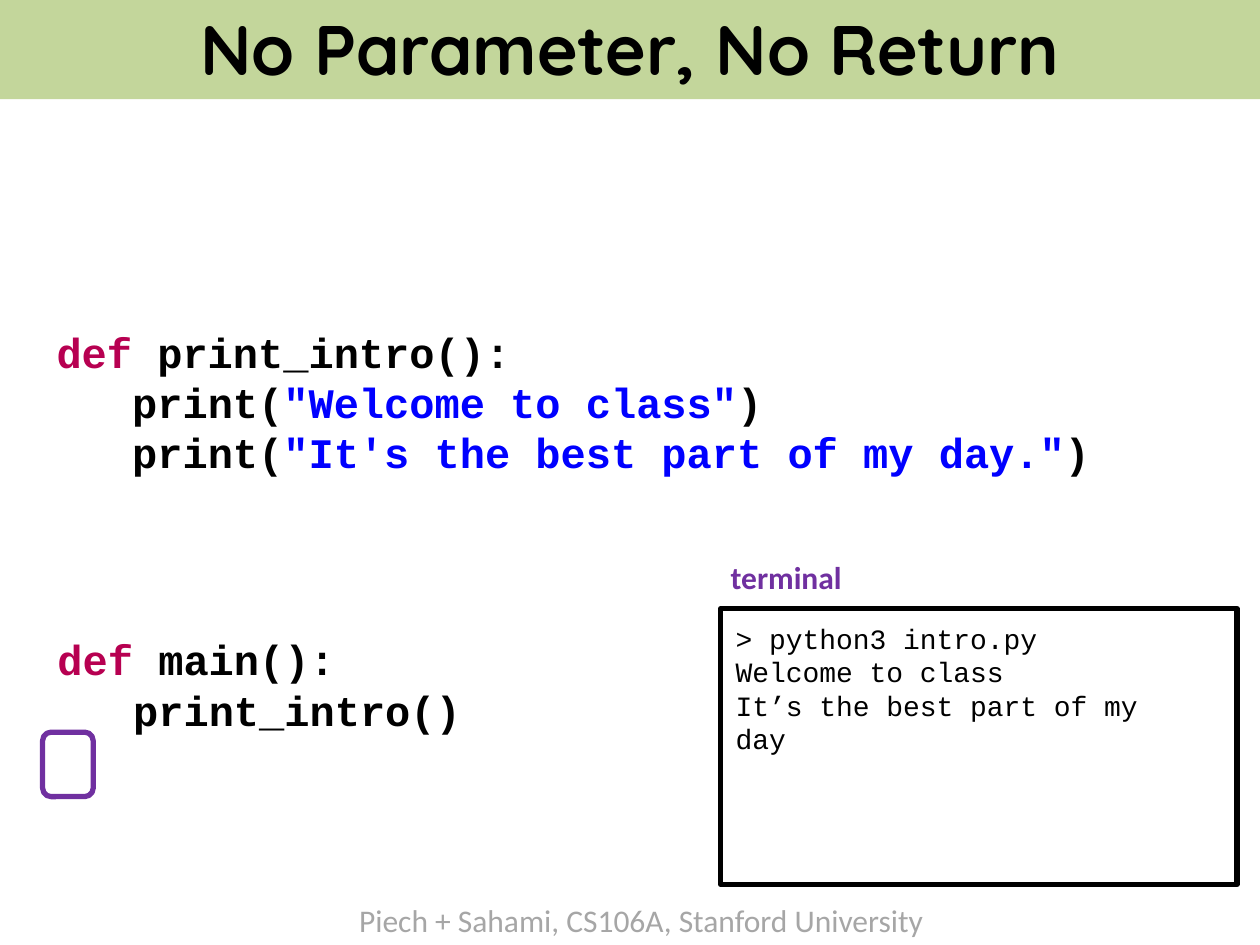
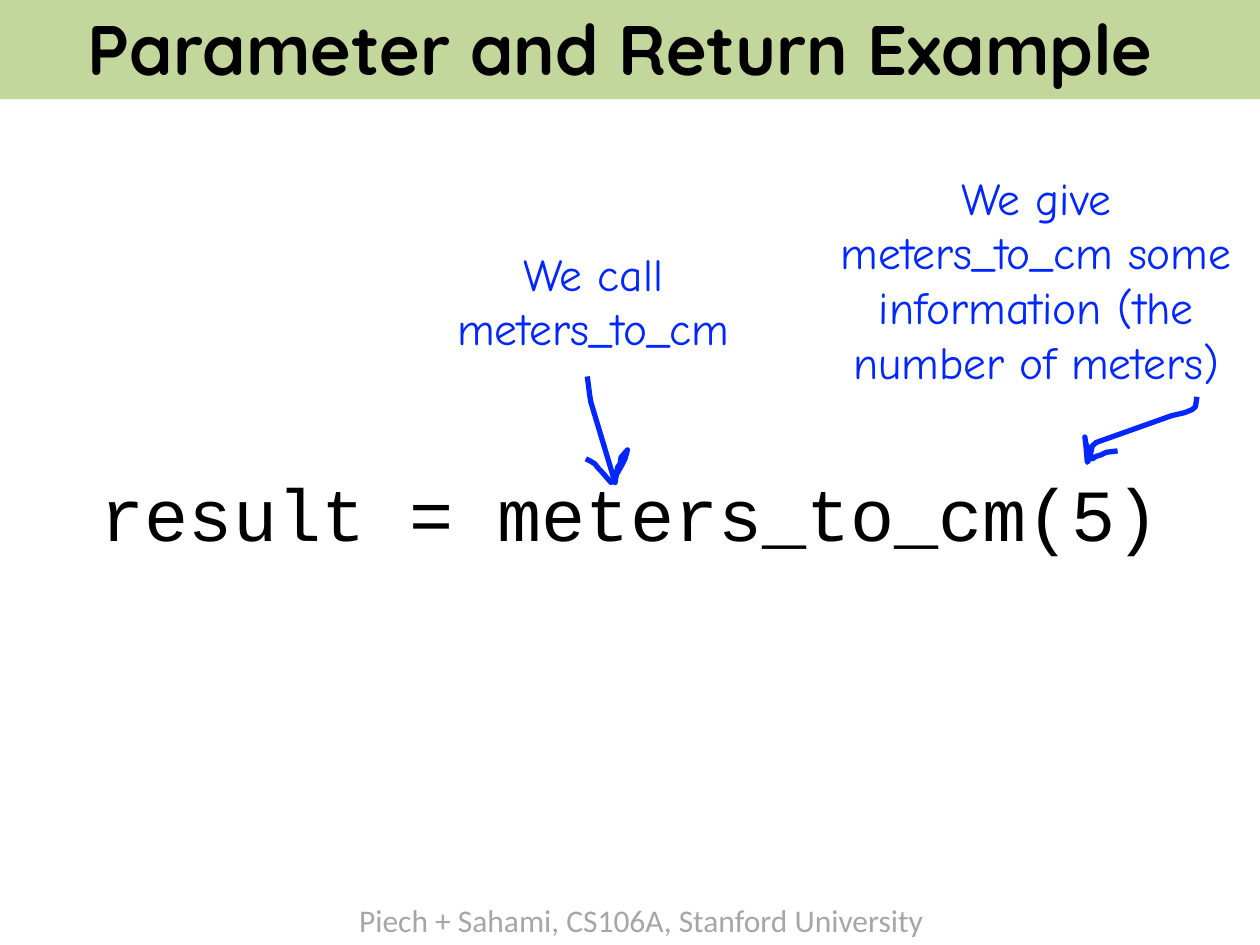
from pptx import Presentation
from pptx.dml.color import RGBColor
from pptx.enum.shapes import MSO_SHAPE
from pptx.enum.text import MSO_ANCHOR, PP_ALIGN
from pptx.util import Cm, Pt

RECT, ROUNDED = MSO_SHAPE.RECTANGLE, MSO_SHAPE.ROUNDED_RECTANGLE
MIDDLE = MSO_ANCHOR.MIDDLE
LEFT, CENTER = PP_ALIGN.LEFT, PP_ALIGN.CENTER

BLACK, WHITE, GREEN, GRAY = "000000", "FFFFFF", "C3D69B", "A6A6A6"
KEYWORD, STRING, PURPLE, INK = "B70051", "0000FF", "7030A0", "0027FF"
BODY_FONT, TITLE_FONT = "Calibri", "Quicksand"
CODE_FONT, NOTE_FONT = "Courier New", "Comic Neue"

SLIDE_WIDTH, SLIDE_HEIGHT = 25.4, 19.05
STROKE = 3

CALL_ARROW = [
    (11.84, 7.59), (11.89, 7.98), (11.91, 8.1), (12.4, 9.73), (12.45, 9.42),
    (12.5, 9.35), (12.52, 9.22), (12.65, 9.07), (12.6, 9.25), (12.55, 9.35),
    (12.45, 9.53), (12.37, 9.63), (12.32, 9.73), (12.12, 9.5), (12.07, 9.45),
    (11.99, 9.35), (11.91, 9.3), (11.81, 9.25),
]
ARGUMENT_ARROW = [
    (24.13, 8.0), (24.1, 8.2), (24.03, 8.26), (23.88, 8.32), (23.62, 8.38),
    (22.1, 8.92), (22.02, 8.99), (21.97, 9.22), (21.92, 9.32), (21.89, 8.97),
    (21.87, 8.81), (21.89, 8.94), (22.02, 9.25), (22.1, 9.2), (22.2, 9.17),
    (22.3, 9.12), (22.53, 9.09),
]


def rgb(value):
    return RGBColor.from_string(value)


def style_font(font, name, size, color, bold=False):
    font.name = name
    font.size = Pt(size)
    font.bold = bold
    font.color.rgb = rgb(color)


def write(frame, text, font, size, color, bold=False, align=LEFT):
    frame.text = text
    for paragraph in frame.paragraphs:
        paragraph.alignment = align
        for run in paragraph.runs:
            style_font(run.font, font, size, color, bold)


def paint(shape, fill=None, line=None):
    shape.shadow.inherit = False
    if fill:
        shape.fill.solid()
        shape.fill.fore_color.rgb = rgb(fill)
    else:
        shape.fill.background()
    if line:
        shape.line.color.rgb = rgb(line)
        shape.line.width = Pt(STROKE)
    else:
        shape.line.fill.background()


def add_box(slide, kind, left, top, width, height, fill=None, line=None):
    box = slide.shapes.add_shape(kind, Cm(left), Cm(top), Cm(width), Cm(height))
    paint(box, fill, line)
    return box


def add_frame(slide, left, top, width, height, wrap=True):
    holder = slide.shapes.add_textbox(Cm(left), Cm(top), Cm(width), Cm(height))
    holder.text_frame.word_wrap = wrap
    return holder.text_frame


def add_code(slide, left, top, width, height, lines):
    frame = add_frame(slide, left, top, width, height)
    for index, line in enumerate(lines):
        paragraph = frame.add_paragraph() if index else frame.paragraphs[0]
        for text, color in line:
            run = paragraph.add_run()
            run.text = text
            style_font(run.font, CODE_FONT, 24, color, bold=True)


def add_ink_arrow(slide, points):
    start, *rest = [(Cm(x), Cm(y)) for x, y in points]
    builder = slide.shapes.build_freeform(*start)
    builder.add_line_segments(rest, close=False)
    paint(builder.convert_to_shape(), line=INK)


def add_note(slide, left, top, width, height, text):
    frame = add_frame(slide, left, top, width, height)
    write(frame, text, NOTE_FONT, 26, INK, align=CENTER)


def add_terminal(slide, output):
    label = add_frame(slide, 14.48, 11.13, 2.77, 1.02, wrap=False)
    write(label, "terminal", BODY_FONT, 18, PURPLE, bold=True)
    add_box(slide, RECT, 14.53, 12.27, 10.41, 5.56, WHITE, BLACK)
    screen = add_frame(slide, 14.58, 12.4, 9.25, 2.31)
    write(screen, output, CODE_FONT, 16, BLACK)


def start_slide(deck, title):
    slide = deck.slides.add_slide(deck.slide_layouts[6])
    footer = add_frame(slide, 6.99, 18.03, 12.01, 1.02, wrap=False)
    write(footer, "Piech + Sahami, CS106A, Stanford University", BODY_FONT, 18, GRAY)
    band = add_box(slide, RECT, 0, -0.08, SLIDE_WIDTH, 2.08, GREEN)
    band.text_frame.vertical_anchor = MIDDLE
    write(band.text_frame, title, TITLE_FONT, 40, BLACK, bold=True, align=CENTER)
    return slide


def build_no_parameter(deck):
    slide = start_slide(deck, "No Parameter, No Return")
    add_code(slide, 0.89, 6.45, 23.67, 3.3, [
        [("def ", KEYWORD), ("print_intro():", BLACK)],
        [("   print(", BLACK), ('"Welcome to class"', STRING), (")", BLACK)],
        [("   print(", BLACK), ('"It\'s the best part of my day."', STRING), (")", BLACK)],
    ])
    add_code(slide, 0.91, 12.65, 23.67, 3.25, [
        [("def ", KEYWORD), ("main():", BLACK)],
        [("   print_intro()", BLACK)],
    ])
    add_box(slide, ROUNDED, 0.86, 14.76, 1.02, 1.3, line=PURPLE)
    add_terminal(slide, "> python3 intro.py\nWelcome to class\nIt’s the best part of my day")


def build_parameter_example(deck):
    slide = start_slide(deck, "Parameter and Return Example ")
    call = add_frame(slide, 1.65, 9.32, 22.1, 2.06, wrap=False)
    write(call, "result = meters_to_cm(5)", CODE_FONT, 42, BLACK, align=CENTER)
    add_note(slide, 16.46, 3.3, 8.86, 4.7,
             "We give meters_to_cm some information (the number of meters)")
    add_note(slide, 8.69, 4.83, 6.55, 2.49, "We call meters_to_cm")
    add_ink_arrow(slide, CALL_ARROW)
    add_ink_arrow(slide, ARGUMENT_ARROW)


def main():
    deck = Presentation()
    deck.slide_width, deck.slide_height = Cm(SLIDE_WIDTH), Cm(SLIDE_HEIGHT)
    build_no_parameter(deck)
    build_parameter_example(deck)
    deck.save("out.pptx")


if __name__ == "__main__":
    main()
